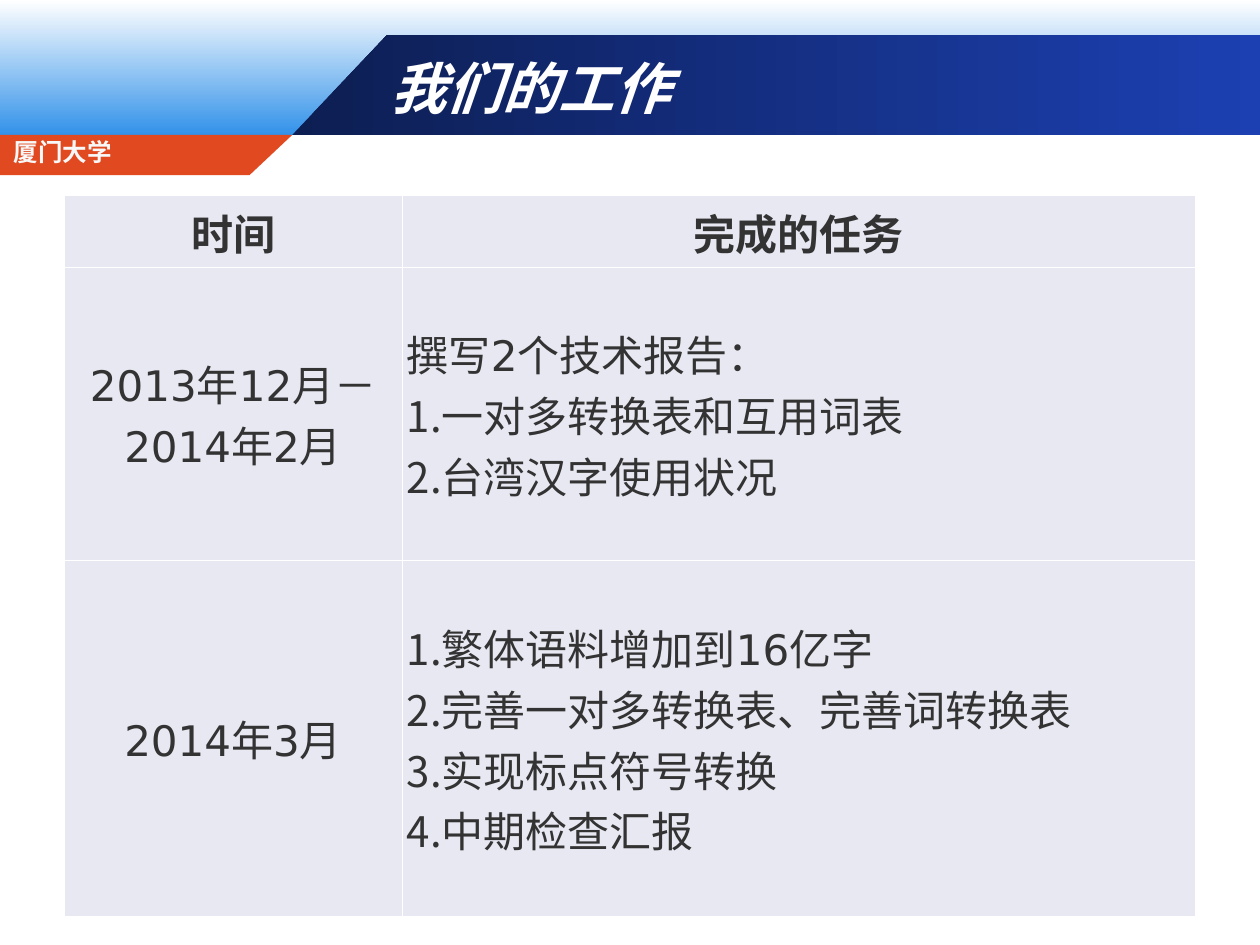
from collections import namedtuple

from pptx import Presentation
from pptx.dml.color import RGBColor
from pptx.enum.shapes import MSO_SHAPE
from pptx.enum.text import MSO_ANCHOR as ANCHOR, PP_ALIGN as ALIGN
from pptx.oxml import parse_xml
from pptx.oxml.ns import nsdecls
from pptx.util import Inches, Pt

WHITE = RGBColor(0xFF, 0xFF, 0xFF)
OFF_WHITE = RGBColor(0xF8, 0xF8, 0xF8)
SKY = RGBColor(0x33, 0x92, 0xE9)
NAVY = RGBColor(0x0D, 0x1E, 0x52)
ROYAL = RGBColor(0x1C, 0x40, 0xB2)
ORANGE = RGBColor(0xE1, 0x4A, 0x21)
INK = RGBColor(0x33, 0x33, 0x33)
CELL = RGBColor(0xE7, 0xE8, 0xF2)

Box = namedtuple("Box", "x y w h")
SLIDE = Box(0, 0, 10, 7.5)
BANNER = Box(0, 0, SLIDE.w, 1.07)
STRIP = Box(0, BANNER.h, 2.32, 0.32)
TABLE = Box(0.51, 1.55, 8.98, 5.72)
COLUMNS = (2.68, 6.3)
ROWS = (0.57, 2.33, 2.82)

HEADERS = ("时间", "完成的任务")
TASKS = (
    ("2013年12月－2014年2月", "撰写2个技术报告：",
     ("一对多转换表和互用词表", "台湾汉字使用状况")),
    ("2014年3月", None,
     ("繁体语料增加到16亿字", "完善一对多转换表、完善词转换表",
      "实现标点符号转换", "中期检查汇报")),
)


def inches(box):
    return [Inches(v) for v in box]


def write(tf, text, size=24, font="DejaVu Sans", color=INK, bold=False,
          italic=False, align=ALIGN.LEFT, spacing=None, numbered=False):
    """Fill the empty first paragraph of a frame, or add one after the rest."""
    p = tf.paragraphs[0] if not tf.text else tf.add_paragraph()
    if numbered:
        pPr = p._p.get_or_add_pPr()
        pPr.set("marL", "0")
        pPr.set("indent", "0")
        pPr.append(parse_xml(
            f'<a:buClr {nsdecls("a")}><a:srgbClr val="{INK}"/></a:buClr>'))
        pPr.append(parse_xml(
            f'<a:buAutoNum {nsdecls("a")} type="arabicPeriod"/>'))
    p.alignment = align
    if spacing:
        p.line_spacing = spacing
    r = p.add_run()
    r.text = text
    r.font.size, r.font.name = Pt(size), font
    r.font.bold, r.font.italic = bold, italic
    r.font.color.rgb = color


def paint(sp, start, end=None, angle=0):
    """Fill with one colour, or with a gradient when an end colour is given."""
    sp.shadow.inherit = False
    sp.line.fill.background()
    if end is None:
        sp.fill.solid()
        sp.fill.fore_color.rgb = start
        return
    sp.fill.gradient()
    sp.fill.gradient_angle = angle
    for stop, color in zip(sp.fill.gradient_stops, (start, end)):
        stop.color.rgb = color


def add_polygon(slide, points):
    corners = [(Inches(x), Inches(y)) for x, y in points]
    builder = slide.shapes.build_freeform(*corners[0])
    builder.add_line_segments(corners[1:], close=True)
    return builder.convert_to_shape()


def add_text(slide, box, text, anchor=ANCHOR.TOP, **fmt):
    tf = slide.shapes.add_textbox(*inches(box)).text_frame
    tf.word_wrap = True
    tf.vertical_anchor = anchor
    write(tf, text, **fmt)


def add_banner(slide, box, title):
    sky = slide.shapes.add_shape(MSO_SHAPE.RECTANGLE, *inches(box))
    paint(sky, WHITE, SKY, angle=270)
    left, top = box.x + STRIP.w, box.y + 0.28
    right, bottom = box.x + box.w, box.y + box.h
    band = add_polygon(slide, [(left, bottom), (right, bottom),
                               (right, top), (left + 0.75, top)])
    paint(band, NAVY, ROYAL)
    add_text(slide, Box(box.x + 3, box.y + 0.3, 6.67, 0.78), title,
             anchor=ANCHOR.MIDDLE, size=32, font="Arial", color=WHITE,
             bold=True, italic=True)


def add_strip(slide, box, name):
    right, bottom = box.x + box.w, box.y + box.h
    strip = add_polygon(slide, [(box.x, box.y), (right, box.y),
                                (right - 0.34, bottom), (box.x, bottom)])
    paint(strip, ORANGE)
    add_text(slide, Box(box.x + 0.01, box.y + 0.05, 2.25, 0.24), name,
             size=14, color=OFF_WHITE, bold=True, spacing=0.6)


def style_cell(cell):
    cell.fill.solid()
    cell.fill.fore_color.rgb = CELL
    cell.vertical_anchor = ANCHOR.MIDDLE
    cell.margin_left = cell.margin_right = Inches(0.04)
    cell.margin_top = cell.margin_bottom = Inches(0.05)
    tcPr = cell._tc.get_or_add_tcPr()
    for i, side in enumerate(("lnL", "lnR", "lnT", "lnB")):
        tcPr.insert(i, parse_xml(
            f'<a:{side} {nsdecls("a")} w="{Pt(0.45)}"><a:solidFill>'
            f'<a:srgbClr val="{WHITE}"/></a:solidFill></a:{side}>'))


def add_task_table(slide, box):
    frame = slide.shapes.add_table(len(ROWS), len(COLUMNS), *inches(box))
    table = frame.table
    table.first_row = table.horz_banding = False
    for column, width in zip(table.columns, COLUMNS):
        column.width = Inches(width)
    for row, height in zip(table.rows, ROWS):
        row.height = Inches(height)
    for cell in table.iter_cells():
        style_cell(cell)
    for col, header in enumerate(HEADERS):
        write(table.cell(0, col).text_frame, header, bold=True,
              align=ALIGN.CENTER)
    for row, (period, intro, items) in enumerate(TASKS, start=1):
        write(table.cell(row, 0).text_frame, period, align=ALIGN.CENTER)
        tf = table.cell(row, 1).text_frame
        if intro:
            write(tf, intro, align=ALIGN.JUSTIFY)
        for item in items:
            write(tf, item, align=ALIGN.JUSTIFY, numbered=True)


def main():
    prs = Presentation()
    prs.slide_width, prs.slide_height = Inches(SLIDE.w), Inches(SLIDE.h)
    slide = prs.slides.add_slide(prs.slide_layouts[6])
    add_banner(slide, BANNER, "我们的工作")
    add_strip(slide, STRIP, "厦门大学")
    add_task_table(slide, TABLE)
    prs.save("out.pptx")


if __name__ == "__main__":
    main()
